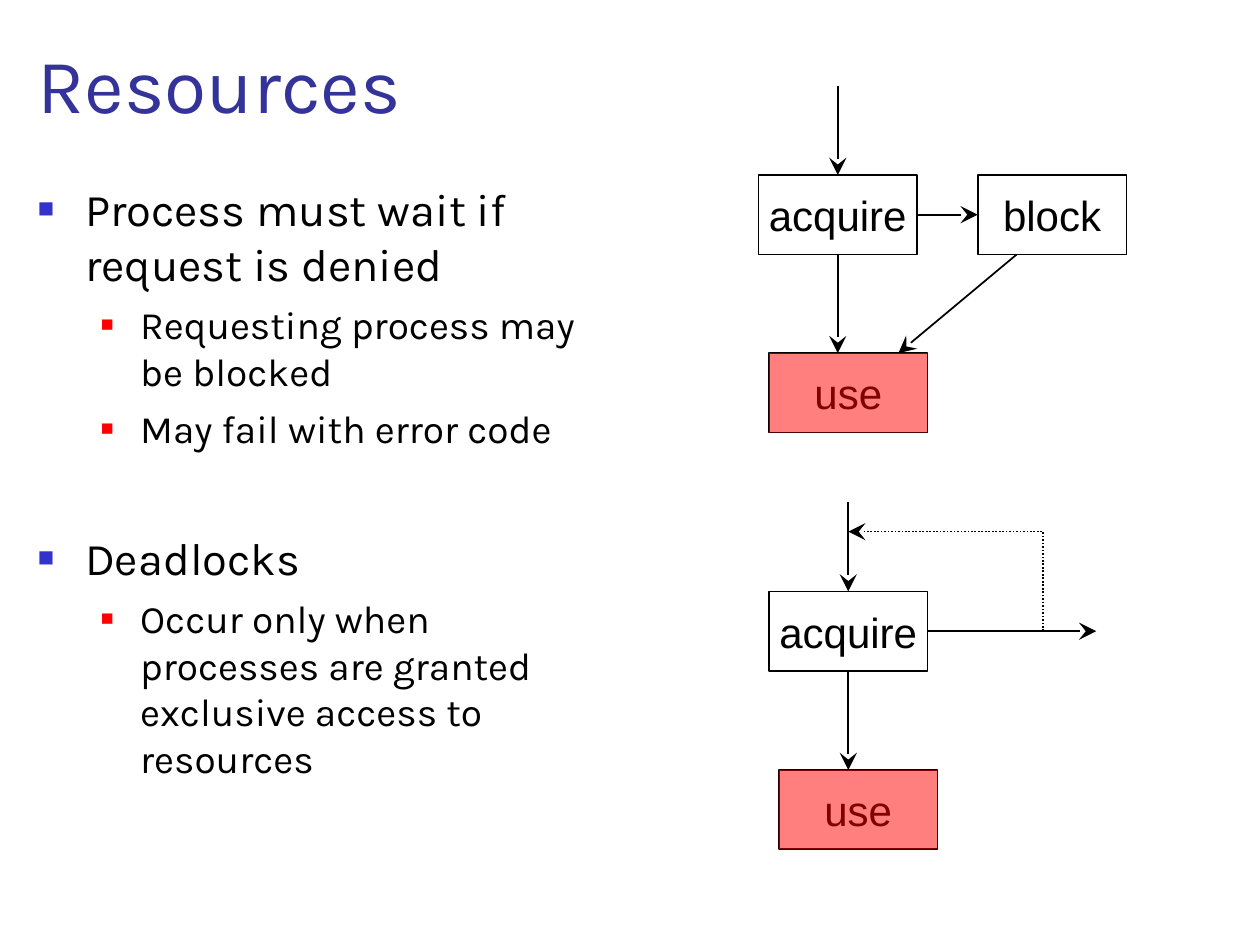
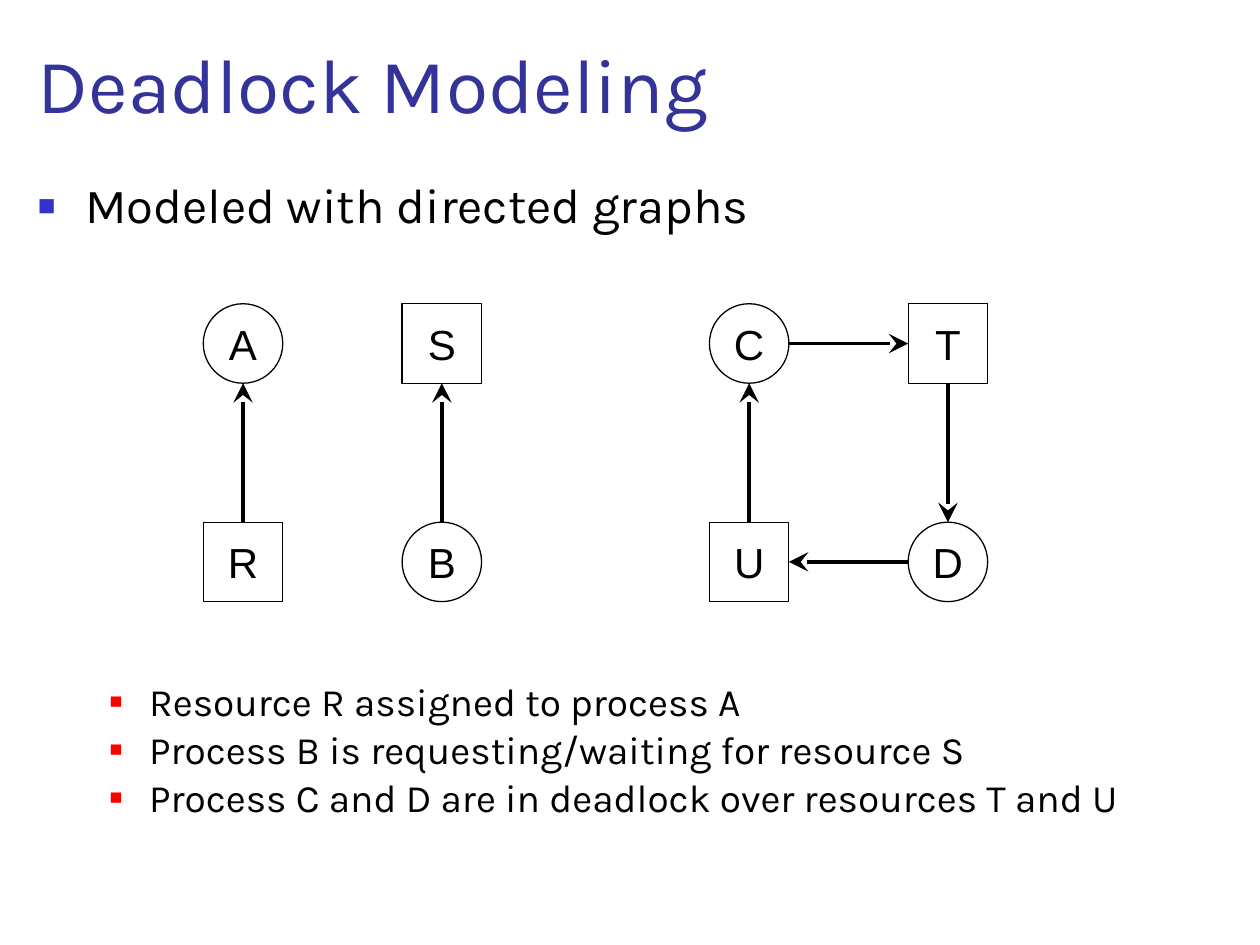
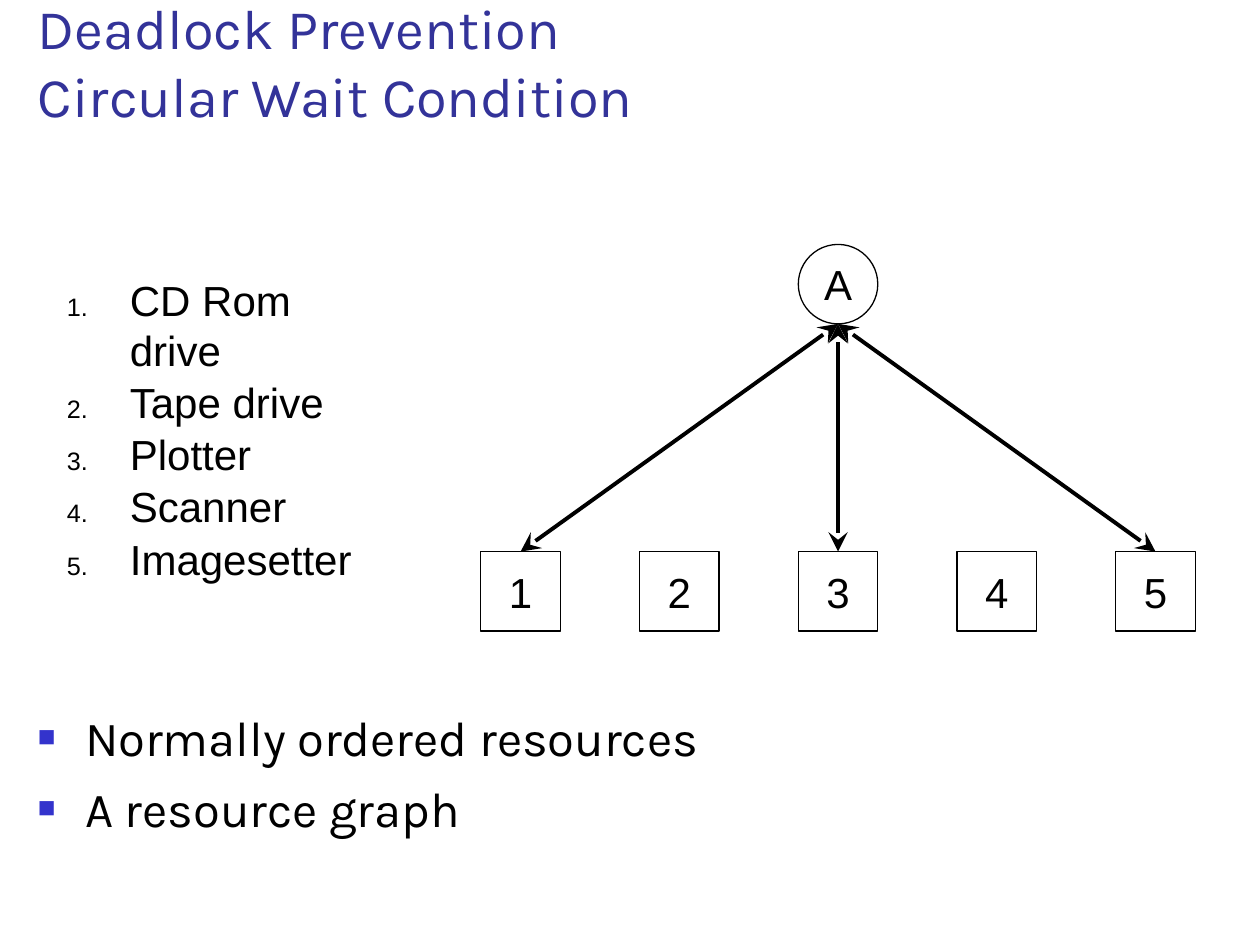
from lxml import etree
from pptx import Presentation
from pptx.dml.color import RGBColor
from pptx.enum import dml, shapes, text
from pptx.oxml.ns import qn
from pptx.util import Pt

TITLE_BLUE = RGBColor(0x33, 0x33, 0x99)
BULLET_BLUE = RGBColor(0x33, 0x33, 0xCC)
RED = RGBColor(0xFF, 0x00, 0x00)
BLACK = RGBColor(0x00, 0x00, 0x00)
WHITE = RGBColor(0xFF, 0xFF, 0xFF)
HEADING_FONT, LABEL_FONT = "Karla", "Arial"
RECT, OVAL = shapes.MSO_SHAPE.RECTANGLE, shapes.MSO_SHAPE.OVAL
TOP, LEFT, BOTTOM, RIGHT = range(4)
ONE_LIST, TWO_LISTS = 1, 3  # template layouts
NODE = 45.4  # side of a graph node, height of a flow box
BOX_W = 90.7

# Bullet kinds: level, text indent, hanging indent, colour, size in percent
MAIN = (0, 27, 27, BULLET_BLUE, 60)
SUB = (1, 58.5, 22.5, RED, 55)
NUMBER = (0, 36, 36, BLACK, 60)


# Text
def add_text(p, words, size, font=HEADING_FONT, color=BLACK):
    for i, line in enumerate(words.split("\n")):
        if i:
            p.add_line_break()
        r = p.add_run()
        r.text = line
        r.font.size, r.font.name = Pt(size), font
        r.font.color.rgb = color


def place(sp, x, y, w, h):
    sp.left, sp.top, sp.width, sp.height = Pt(x), Pt(y), Pt(w), Pt(h)


def add_slide(prs, layout, title, size=44):
    slide = prs.slides.add_slide(prs.slide_layouts[layout])
    sp = slide.shapes.title
    place(sp, 14.4, 16.5, 690.5, 60.5)
    tf = sp.text_frame
    tf.auto_size = text.MSO_AUTO_SIZE.NONE
    tf.vertical_anchor = text.MSO_ANCHOR.BOTTOM
    tf.paragraphs[0].alignment = text.PP_ALIGN.LEFT
    add_text(tf.paragraphs[0], title, size, color=TITLE_BLUE)
    return slide


def set_bullet(p, kind):
    p.level, indent, hanging, color, percent = kind
    pPr = p._p.get_or_add_pPr()
    pPr.set("marL", str(Pt(indent)))
    pPr.set("indent", str(-Pt(hanging)))
    clr = etree.SubElement(pPr, qn("a:buClr"))
    etree.SubElement(clr, qn("a:srgbClr"), val=str(color))
    etree.SubElement(pPr, qn("a:buSzPct"), val=str(percent * 1000))
    etree.SubElement(pPr, qn("a:buFont"), typeface=LABEL_FONT)
    if kind is NUMBER:
        etree.SubElement(pPr, qn("a:buAutoNum"), type="arabicPeriod")
    else:
        etree.SubElement(pPr, qn("a:buChar"), char="■")


def fill_list(sp, frame, items, spacing=1.0, font=HEADING_FONT):
    """Each item is (bullet kind, words, size, space before)."""
    place(sp, *frame)
    tf = sp.text_frame
    tf.auto_size = text.MSO_AUTO_SIZE.NONE
    for i, (kind, words, size, before) in enumerate(items):
        p = tf.add_paragraph() if i else tf.paragraphs[0]
        set_bullet(p, kind)
        p.line_spacing = spacing
        p.space_before = Pt(before if i else 0)
        add_text(p, words, size, font)


# Diagram parts
def add_node(slide, label, x, y, w=NODE, kind=RECT, line=0.75, fill=None):
    sp = slide.shapes.add_shape(kind, Pt(x), Pt(y), Pt(w), Pt(NODE))
    sp.shadow.inherit = False
    if fill is None:
        sp.fill.background()
    else:
        sp.fill.solid()
        sp.fill.fore_color.rgb = fill
    sp.line.color.rgb, sp.line.width = BLACK, Pt(line)
    tf = sp.text_frame
    tf.word_wrap = False
    tf.vertical_anchor = text.MSO_ANCHOR.MIDDLE
    tf.paragraphs[0].alignment = text.PP_ALIGN.CENTER
    add_text(tf.paragraphs[0], label, 24, LABEL_FONT)
    return sp


def add_box(slide, label, x, y, w=BOX_W):
    return add_node(slide, label, x, y, w, line=1, fill=WHITE)


def add_tint(slide, x, y):
    """Half-transparent red cover over a box."""
    sp = slide.shapes.add_shape(RECT, Pt(x), Pt(y), Pt(BOX_W), Pt(NODE))
    sp.shadow.inherit = False
    sp.fill.solid()
    sp.fill.fore_color.rgb = RED
    clr = sp._element.spPr.find(qn("a:solidFill"))[0]
    etree.SubElement(clr, qn("a:alpha"), val="50000")
    sp.line.fill.background()


def add_heads(sp, ends=("tailEnd",)):
    ln = sp.line._get_or_add_ln()
    for end in ends:
        etree.SubElement(ln, qn("a:" + end), type="stealth", w="lg", len="lg")


def side(sp, site):
    """Middle of one side of a shape, in points."""
    x, y, w, h = (v.pt for v in (sp.left, sp.top, sp.width, sp.height))
    return {TOP: (x + w / 2, y), LEFT: (x, y + h / 2),
            BOTTOM: (x + w / 2, y + h), RIGHT: (x + w, y + h / 2)}[site]


def add_arrow(slide, start, end, width=2.25, ends=("tailEnd",)):
    """Each end is a point (x, y) or a (shape, side) pair."""
    joins = [e if hasattr(e[0], "left") else None for e in (start, end)]
    (x1, y1), (x2, y2) = (side(*j) if j else e
                          for j, e in zip(joins, (start, end)))
    c = slide.shapes.add_connector(shapes.MSO_CONNECTOR.STRAIGHT,
                                   Pt(x1), Pt(y1), Pt(x2), Pt(y2))
    for j, connect in zip(joins, (c.begin_connect, c.end_connect)):
        if j and j[0].auto_shape_type == RECT:
            connect(*j)
    c.line.color.rgb, c.line.width = BLACK, Pt(width)
    add_heads(c, ends)
    etree.SubElement(c._element.spPr, qn("a:effectLst"))


def add_return_path(slide, points):
    fb = slide.shapes.build_freeform(Pt(points[0][0]), Pt(points[0][1]))
    fb.add_line_segments([(Pt(x), Pt(y)) for x, y in points[1:]], close=False)
    sp = fb.convert_to_shape()
    sp.shadow.inherit = False
    sp.fill.background()
    sp.line.color.rgb, sp.line.width = BLACK, Pt(1)
    sp.line.dash_style = dml.MSO_LINE.ROUND_DOT
    add_heads(sp)


# Slides
def resources(prs):
    slide = add_slide(prs, ONE_LIST, "Resources")
    fill_list(slide.placeholders[1], (14.4, 100, 340, 397), [
        (MAIN, "Process must wait if request is denied", 25.9, 7),
        (SUB, "Requesting process may be blocked", 22.2, 6),
        (SUB, "May fail with error code", 22.2, 6),
        (MAIN, "Deadlocks", 25.9, 45),
        (SUB, "Occur only when\nprocesses are granted exclusive access "
              "to resources", 22.2, 6)])

    # Blocking request
    block = add_box(slide, "block", 558.7, 100, 85)
    acquire = add_box(slide, "acquire", 433.4, 100)
    add_box(slide, "use", 439.4, 201.8)
    add_arrow(slide, (478.75, 49), (acquire, TOP), 1)
    add_arrow(slide, (acquire, RIGHT), (block, LEFT), 1)
    add_arrow(slide, (acquire, BOTTOM), (478.75, 201.8), 1)
    add_arrow(slide, (581, 145.4), (513.4, 201.8), 1)

    # Failing request with retry
    acquire = add_box(slide, "acquire", 439.4, 338)
    add_box(slide, "use", 445, 440)
    add_arrow(slide, (484.75, 286.6), (acquire, TOP), 1)
    add_arrow(slide, (acquire, RIGHT), (626.4, 360.7), 1)
    add_arrow(slide, (acquire, BOTTOM), (484.75, 440), 1)
    add_return_path(slide, [(596.2, 360.7), (596.2, 303.8), (484.75, 303.8)])

    add_tint(slide, 439.4, 201.8)
    add_tint(slide, 445, 440)


def deadlock_modeling(prs):
    slide = add_slide(prs, TWO_LISTS, "Deadlock Modeling")
    fill_list(slide.placeholders[1], (14.4, 100, 692, 39.6),
              [(MAIN, "Modeled with directed graphs", 28, 7)], 0.9)
    fill_list(slide.placeholders[2], (19.5, 389, 685.5, 107), [
        (SUB, words, 22.2, 6) for words in (
            "Resource R assigned to process A",
            "Process B is requesting/waiting for resource S",
            "Process C and D are in deadlock over resources T and U")], 0.8)

    # Processes are circles, resources are squares
    columns = zip((116.2, 229.8, 405.4, 519), ("AR", "SB", "CU", "TD"))
    node = {}
    for x, labels in columns:
        for y, label in zip((173.6, 298.4), labels):
            kind = OVAL if label in "ABCD" else RECT
            node[label] = add_node(slide, label, x, y, kind=kind)
    for a, a_side, b, b_side in (("R", TOP, "A", BOTTOM),
                                 ("B", TOP, "S", BOTTOM),
                                 ("U", TOP, "C", BOTTOM),
                                 ("C", RIGHT, "T", LEFT),
                                 ("T", BOTTOM, "D", TOP),
                                 ("D", LEFT, "U", RIGHT)):
        add_arrow(slide, (node[a], a_side), (node[b], b_side))


def circular_wait(prs):
    slide = add_slide(prs, TWO_LISTS,
                      "Deadlock Prevention\nCircular Wait Condition", 32)
    devices = ("CD Rom drive", "Tape drive", "Plotter", "Scanner",
               "Imagesetter")
    fill_list(slide.placeholders[1], (31, 153, 201, 151),
              [(NUMBER, device, 24, 1) for device in devices],
              font=LABEL_FONT)
    fill_list(slide.placeholders[2], (14.4, 400.5, 691, 96.5), [
        (MAIN, "Normally ordered resources", 28, 7),
        (MAIN, "A resource graph", 28, 7)])

    # Process A linked both ways with the odd resources
    process = add_node(slide, "A", 456.2, 139.7, kind=OVAL)
    for i in range(len(devices)):
        resource = add_node(slide, str(i + 1), 274.8 + 90.7 * i, 315.2)
        if i % 2 == 0:
            add_arrow(slide, (process, BOTTOM), (resource, TOP),
                      ends=("headEnd", "tailEnd"))


def main():
    prs = Presentation()
    prs.slide_width, prs.slide_height = Pt(720), Pt(540)
    resources(prs)
    deadlock_modeling(prs)
    circular_wait(prs)
    prs.save("out.pptx")


if __name__ == "__main__":
    main()
